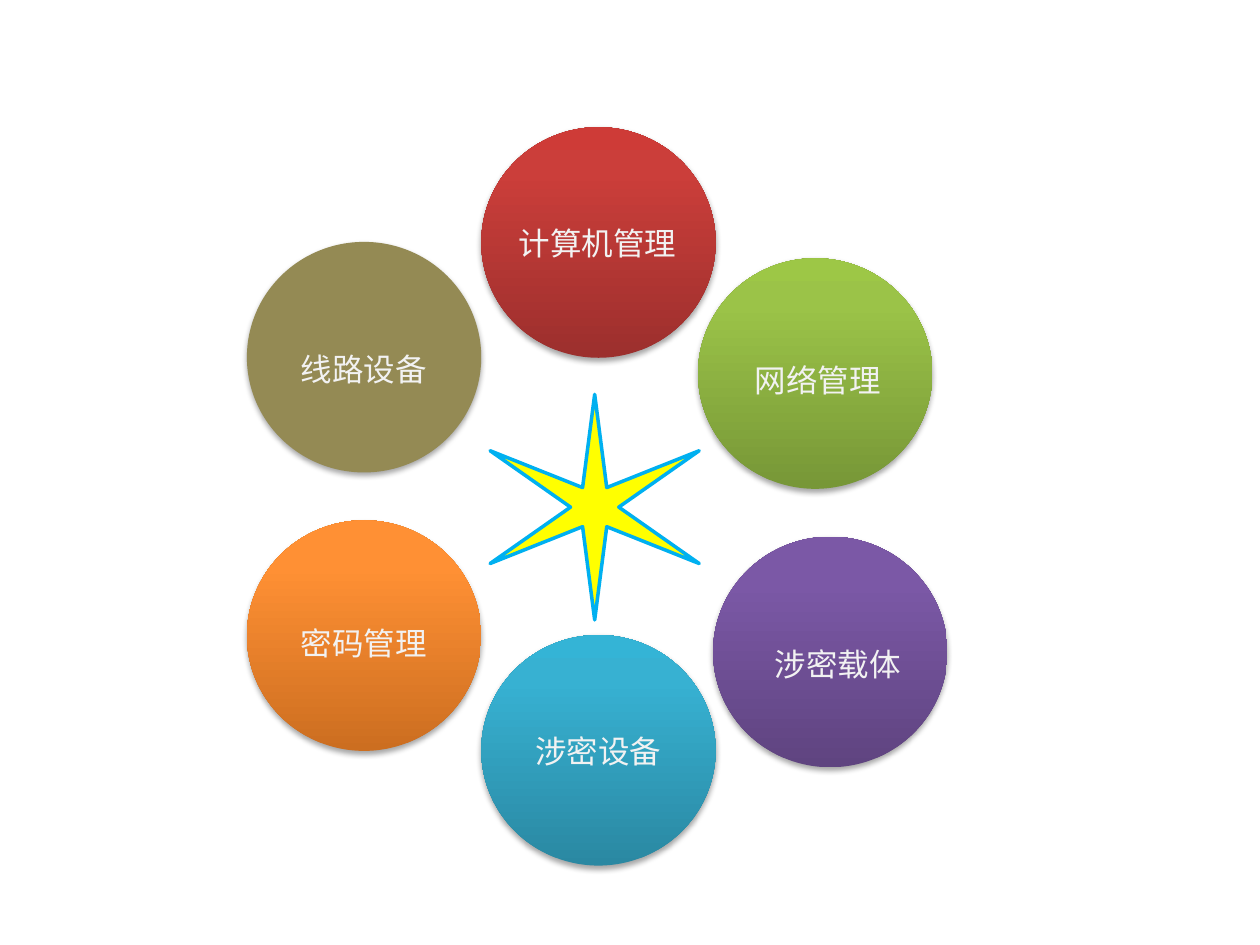
from lxml.etree import SubElement
from pptx import Presentation
from pptx.dml.color import RGBColor
from pptx.enum.shapes import MSO_SHAPE
from pptx.enum.text import MSO_AUTO_SIZE
from pptx.oxml.ns import qn
from pptx.util import Inches, Pt

FONT = "Noto Sans CJK SC"
COLORS = {
    "label": "F2F2F2",
    "shadow": "000000",
    "star": "FFFF00",
    "star_edge": "00B0F0",
    "olive": "948A54",
}
# Gradient stops run from the bottom of a circle to its top.
GRADIENTS = {
    "red": ("9C2F2D", "CB3E3A", "CE3B37"),
    "green": ("779737", "9BC348", "9DC746"),
    "purple": ("5F4480", "7B58A6", "7C57A8"),
    "blue": ("2A88A2", "37B1D2", "34B4D6"),
    "orange": ("CC6E20", "FF9034", "FF9136"),
}
STOP_POSITIONS = (0, 80, 100)
CIRCLE_SIZE = (1.86, 1.83)
LABEL_HEIGHT = 0.4

# topic, colour, circle (left, top), label (left, top, width)
TOPICS = [
    ("计算机管理", "red", (3.82, 1.01), (4.02, 1.73, 1.46)),
    ("网络管理", "green", (5.54, 2.05), (5.89, 2.82, 1.29)),
    ("涉密载体", "purple", (5.66, 4.26), (6.05, 5.07, 1.21)),
    ("涉密设备", "blue", (3.82, 5.04), (4.15, 5.76, 1.21)),
    ("密码管理", "orange", (1.96, 4.13), (2.29, 4.9, 1.21)),
    ("线路设备", "olive", (1.96, 1.92), (2.29, 2.73, 1.21)),
]


def write(frame, text, size=18, color="label", font=FONT):
    run = frame.paragraphs[0].add_run()
    run.text = text
    run.font.size = Pt(size)
    run.font.name = font
    run.font.color.rgb = RGBColor.from_string(COLORS[color])
    SubElement(run.font._element, qn("a:ea"), typeface=font)


def add_color(parent, value):
    return SubElement(parent, qn("a:srgbClr"), val=value)


class TopicSlide:
    """Holds the current slide and draws its elements in one style."""

    def __init__(self, slide):
        self.shapes = slide.shapes

    def circle(self, left, top, color):
        circle = self.shapes.add_shape(
            MSO_SHAPE.OVAL, *map(Inches, (left, top, *CIRCLE_SIZE)))
        if color in GRADIENTS:
            self.shade(circle, GRADIENTS[color])
        else:
            circle.fill.solid()
            circle.fill.fore_color.rgb = RGBColor.from_string(COLORS[color])
        circle.line.fill.background()
        self.drop_shadow(circle)

    def shade(self, shape, colors):
        shape.fill.gradient()
        shape.fill.gradient_angle = 90
        stops = shape._element.spPr.find(
            f"{qn('a:gradFill')}/{qn('a:gsLst')}")
        for stop in list(stops):
            stops.remove(stop)
        for position, color in zip(STOP_POSITIONS, colors):
            add_color(SubElement(stops, qn("a:gs"), pos=str(position * 1000)), color)

    def drop_shadow(self, shape):
        shape.shadow.inherit = False
        effects = shape._element.spPr.find(qn("a:effectLst"))
        shadow = SubElement(
            effects, qn("a:outerShdw"), blurRad=str(Pt(3.1)),
            dist=str(Pt(1.8)), dir="5400000", rotWithShape="0")
        SubElement(add_color(shadow, COLORS["shadow"]), qn("a:alpha"), val="35000")

    def label(self, text, left, top, width):
        box = self.shapes.add_textbox(
            *map(Inches, (left, top, width, LABEL_HEIGHT)))
        box.text_frame.word_wrap = False
        box.text_frame.auto_size = MSO_AUTO_SIZE.SHAPE_TO_FIT_TEXT
        write(box.text_frame, text)

    def star(self, left, top, width, height):
        star = self.shapes.add_shape(
            MSO_SHAPE.STAR_6_POINT, *map(Inches, (left, top, width, height)))
        star.adjustments[0] = 0.1
        star.shadow.inherit = False
        star.fill.solid()
        star.fill.fore_color.rgb = RGBColor.from_string(COLORS["star"])
        star.line.color.rgb = RGBColor.from_string(COLORS["star_edge"])
        star.line.width = Pt(2)


def main():
    presentation = Presentation()
    presentation.slide_width = Inches(10)
    presentation.slide_height = Inches(7.5)
    slide = TopicSlide(presentation.slides.add_slide(presentation.slide_layouts[6]))
    for _, color, circle_at, _ in TOPICS:
        slide.circle(*circle_at, color)
    for topic, _, _, label_at in TOPICS:
        slide.label(topic, *label_at)
    slide.star(3.89, 3.13, 1.66, 1.79)
    presentation.save("out.pptx")


if __name__ == "__main__":
    main()
